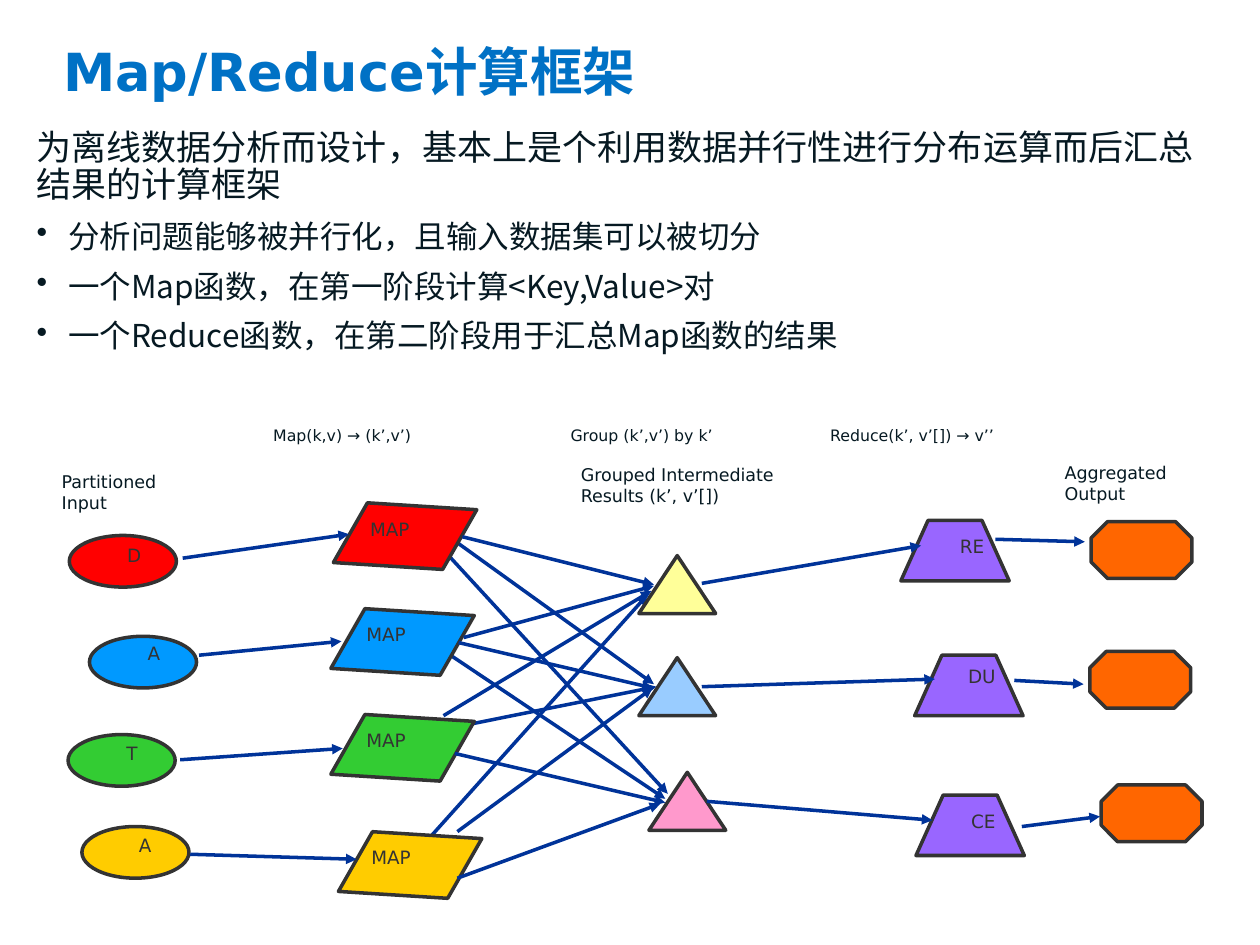
from dataclasses import dataclass

from lxml import etree
from pptx import Presentation
from pptx.dml.color import RGBColor
from pptx.enum.shapes import MSO_CONNECTOR, MSO_SHAPE
from pptx.enum.text import MSO_ANCHOR, MSO_AUTO_SIZE, PP_ALIGN
from pptx.oxml.ns import qn
from pptx.util import Inches, Pt

ELLIPSE = MSO_SHAPE.OVAL
PARALLELOGRAM = MSO_SHAPE.PARALLELOGRAM
TRIANGLE = MSO_SHAPE.ISOSCELES_TRIANGLE
TRAPEZOID = MSO_SHAPE.TRAPEZOID
OCTAGON = MSO_SHAPE.OCTAGON
STRAIGHT = MSO_CONNECTOR.STRAIGHT
LEFT, RIGHT = PP_ALIGN.LEFT, PP_ALIGN.RIGHT
TOP = MSO_ANCHOR.TOP
NO_AUTOFIT = MSO_AUTO_SIZE.NONE

LATIN_FONT = "DejaVu Sans"
CHINESE_FONT = "Noto Sans CJK SC"
TITLE_BLUE, INK, OUTLINE, ARROW_BLUE = "0071C5", "061922", "333333", "003399"
RED, BLUE, GREEN, YELLOW = "FF0000", "0099FF", "33CC33", "FFCC00"
PURPLE, ORANGE = "9966FF", "FF6600"
DEFAULT_INSETS = (0.1, 0.05)


@dataclass(frozen=True)
class Node:
    left: float
    top: float
    fill: str


@dataclass(frozen=True)
class NodeStyle:
    preset: MSO_SHAPE
    width: float
    height: float
    adjustment: float | None = None
    rotation: float = 0


@dataclass(frozen=True)
class Label:
    text: str
    left: float
    top: float
    width: float
    height: float = 0.39
    size: float = 10.5
    color: str = OUTLINE
    align: PP_ALIGN = LEFT
    insets: tuple[float, float] = DEFAULT_INSETS


@dataclass(frozen=True)
class Arrow:
    start: tuple[float, float]
    end: tuple[float, float]


STAGES = [
    (NodeStyle(ELLIPSE, 0.85, 0.41),
     [Node(0.55, 4.25, RED), Node(0.71, 5.05, BLUE),
      Node(0.54, 5.83, GREEN), Node(0.65, 6.56, YELLOW)]),
    (NodeStyle(PARALLELOGRAM, 1.11, 0.49, 0.49, 3.6),
     [Node(2.66, 4.01, RED), Node(2.64, 4.85, BLUE),
      Node(2.64, 5.69, GREEN), Node(2.7, 6.62, YELLOW)]),
    (NodeStyle(TRIANGLE, 0.61, 0.46),
     [Node(5.07, 4.41, "FFFF99"), Node(5.07, 5.22, "99CCFF"),
      Node(5.15, 6.13, "FF99CC")]),
    (NodeStyle(TRAPEZOID, 0.86, 0.48, 0.45),
     [Node(7.15, 4.13, PURPLE), Node(7.26, 5.2, PURPLE), Node(7.27, 6.31, PURPLE)]),
    (NodeStyle(OCTAGON, 0.8, 0.45, 0.29),
     [Node(8.66, 4.14, ORANGE), Node(8.65, 5.17, ORANGE), Node(8.74, 6.23, ORANGE)]),
]

NODE_LABELS = [
    *[Label(text, left, top, 0.65, align=RIGHT) for text, left, top in (
        ("D", 0.57, 4.27), ("A", 0.72, 5.05), ("T", 0.54, 5.84), ("A", 0.65, 6.57))],
    *[Label("MAP", left, top, 0.83) for left, top in (
        (2.84, 4.06), (2.81, 4.9), (2.81, 5.74), (2.85, 6.67))],
    *[Label(text, left, top, 0.83, align=RIGHT) for text, left, top in (
        ("RE", 7.08, 4.2), ("DU", 7.17, 5.23), ("CE", 7.17, 6.38))],
]

CAPTIONS = [
    Label("Partitioned Input", 0.49, 3.74, 1.14, 0.29, 10, INK, insets=(0, 0)),
    Label("Grouped Intermediate Results (k’, v’[])", 4.55, 3.68, 2.01, 0.69, 10, INK,
          insets=(0.06, 0)),
    Label("Aggregated Output", 8.45, 3.67, 1.25, 0.29, 10, INK, insets=(0, 0)),
    Label("Map(k,v) → (k’,v’)", 2.07, 3.33, 1.89, size=9, color=INK),
    Label("Group (k’,v’) by k’", 4.43, 3.33, 1.86, size=9, color=INK),
    Label("Reduce(k’, v’[]) → v’’", 6.49, 3.33, 2.13, size=9, color=INK),
]

ARROWS_BEHIND = [
    Arrow((3.31, 6.76), (5.14, 4.72)), Arrow((3.62, 5.77), (5.21, 5.45)),
    Arrow((3.5, 5.15), (5.28, 6.34)), Arrow((3.46, 4.3), (5.3, 6.3)),
    Arrow((3.62, 4.3), (5.19, 5.43)),
]

ARROWS_IN_FRONT = [
    Arrow((1.45, 4.43), (2.77, 4.24)), Arrow((1.58, 5.2), (2.71, 5.09)),
    Arrow((1.43, 6.03), (2.72, 5.94)), Arrow((1.51, 6.78), (2.83, 6.82)),
    Arrow((3.67, 4.26), (5.19, 4.64)), Arrow((3.64, 5.1), (5.18, 5.46)),
    Arrow((3.68, 5.06), (5.19, 4.65)), Arrow((3.61, 5.98), (5.28, 6.37)),
    Arrow((3.52, 5.68), (5.17, 4.69)), Arrow((3.63, 6.6), (5.18, 5.46)),
    Arrow((3.63, 6.97), (5.24, 6.38)),
    Arrow((5.57, 4.63), (7.31, 4.33)), Arrow((5.57, 5.45), (7.42, 5.39)),
    Arrow((5.61, 6.36), (7.4, 6.51)),
    Arrow((7.9, 4.28), (8.61, 4.3)), Arrow((8.05, 5.4), (8.6, 5.43)),
    Arrow((8.11, 6.56), (8.73, 6.48)),
]

INTRODUCTION = "为离线数据分析而设计，基本上是个利用数据并行性进行分布运算而后汇总结果的计算框架"
BULLETS = [
    "分析问题能够被并行化，且输入数据集可以被切分",
    "一个Map函数，在第一阶段计算<Key,Value>对",
    "一个Reduce函数，在第二阶段用于汇总Map函数的结果",
]


def rgb(color: str) -> RGBColor:
    return RGBColor.from_string(color)


def add_run(paragraph, text: str, size: float, color: str,
            font: str = LATIN_FONT, bold: bool = False) -> None:
    run = paragraph.add_run()
    run.text = text
    run.font.size = Pt(size)
    run.font.bold = bold
    run.font.name = font
    run.font.color.rgb = rgb(color)
    etree.SubElement(run.font._element, qn("a:ea"), typeface=CHINESE_FONT)


def set_frame(frame, insets: tuple[float, float]) -> None:
    frame.word_wrap = True
    frame.auto_size = NO_AUTOFIT
    frame.vertical_anchor = TOP
    frame.margin_left = frame.margin_right = Inches(insets[0])
    frame.margin_top = frame.margin_bottom = Inches(insets[1])


def add_text_frame(slide, left: float, top: float, width: float, height: float,
                   insets: tuple[float, float]):
    box = slide.shapes.add_textbox(Inches(left), Inches(top), Inches(width), Inches(height))
    set_frame(box.text_frame, insets)
    return box.text_frame


def add_label(slide, label: Label) -> None:
    frame = add_text_frame(slide, label.left, label.top, label.width, label.height, label.insets)
    paragraph = frame.paragraphs[0]
    paragraph.alignment = label.align
    add_run(paragraph, label.text, label.size, label.color)


def add_node(slide, style: NodeStyle, node: Node) -> None:
    shape = slide.shapes.add_shape(style.preset, Inches(node.left), Inches(node.top),
                                   Inches(style.width), Inches(style.height))
    shape.shadow.inherit = False
    shape.rotation = style.rotation
    if style.adjustment is not None:
        shape.adjustments[0] = style.adjustment
    shape.fill.solid()
    shape.fill.fore_color.rgb = rgb(node.fill)
    shape.line.color.rgb = rgb(OUTLINE)
    shape.line.width = Pt(2)


def add_arrow(slide, arrow: Arrow) -> None:
    connector = slide.shapes.add_connector(
        STRAIGHT, *(Inches(value) for value in (*arrow.start, *arrow.end)))
    connector.line.color.rgb = rgb(ARROW_BLUE)
    connector.line.width = Pt(2)
    properties = connector._element.spPr
    etree.SubElement(properties.find(qn("a:ln")), qn("a:tailEnd"), type="triangle")
    etree.SubElement(properties, qn("a:effectLst"))


def add_title(slide) -> None:
    title = slide.shapes.title
    title.left, title.top = Inches(0.5), Inches(0.45)
    title.width, title.height = Inches(9), Inches(0.97)
    set_frame(title.text_frame, (0, 0))
    paragraph = title.text_frame.paragraphs[0]
    paragraph.alignment = LEFT
    paragraph.line_spacing = Pt(26)
    add_run(paragraph, "Map/Reduce计算框架", 30, TITLE_BLUE, bold=True)


def add_body(slide) -> None:
    frame = add_text_frame(slide, 0.29, 1.03, 9.4, 1.85, (0, 0))
    introduction = frame.paragraphs[0]
    introduction.line_spacing = 0.9
    add_run(introduction, INTRODUCTION, 20, INK, CHINESE_FONT)
    for text in BULLETS:
        paragraph = frame.add_paragraph()
        paragraph.level = 1
        paragraph.line_spacing = 0.9
        paragraph.space_before = Pt(9)
        properties = paragraph._p.get_or_add_pPr()
        properties.set("marL", str(Inches(0.25)))
        properties.set("indent", str(Inches(-0.25)))
        etree.SubElement(properties, qn("a:buChar"), char="•")
        add_run(paragraph, text, 18, INK, CHINESE_FONT)


def main() -> None:
    presentation = Presentation()
    presentation.slide_width, presentation.slide_height = Inches(10), Inches(7.5)
    slide = presentation.slides.add_slide(presentation.slide_layouts[5])
    add_title(slide)
    add_body(slide)
    for arrow in ARROWS_BEHIND:
        add_arrow(slide, arrow)
    for style, nodes in STAGES:
        for node in nodes:
            add_node(slide, style, node)
    for label in NODE_LABELS:
        add_label(slide, label)
    for arrow in ARROWS_IN_FRONT:
        add_arrow(slide, arrow)
    for caption in CAPTIONS:
        add_label(slide, caption)
    presentation.save("out.pptx")


if __name__ == "__main__":
    main()
